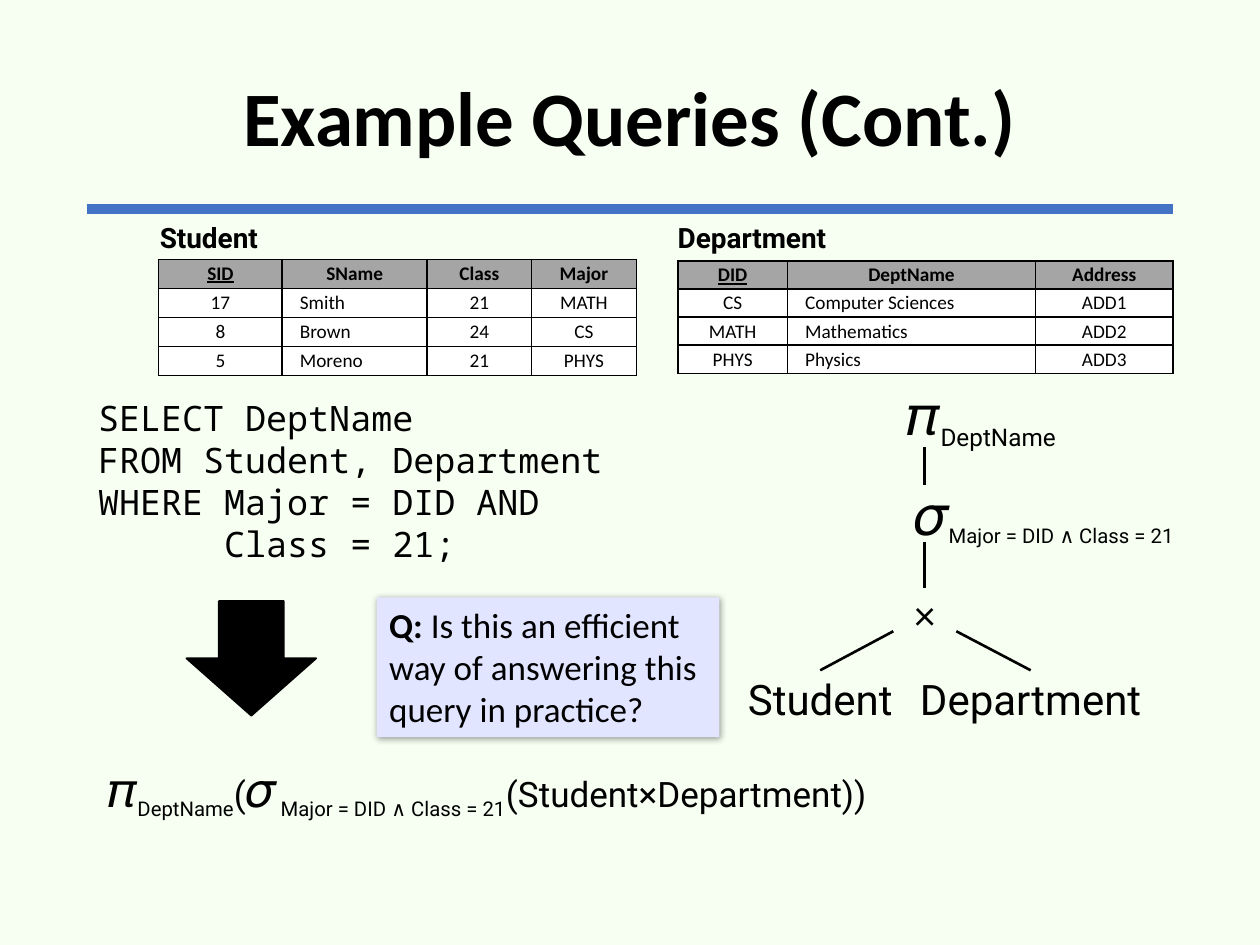
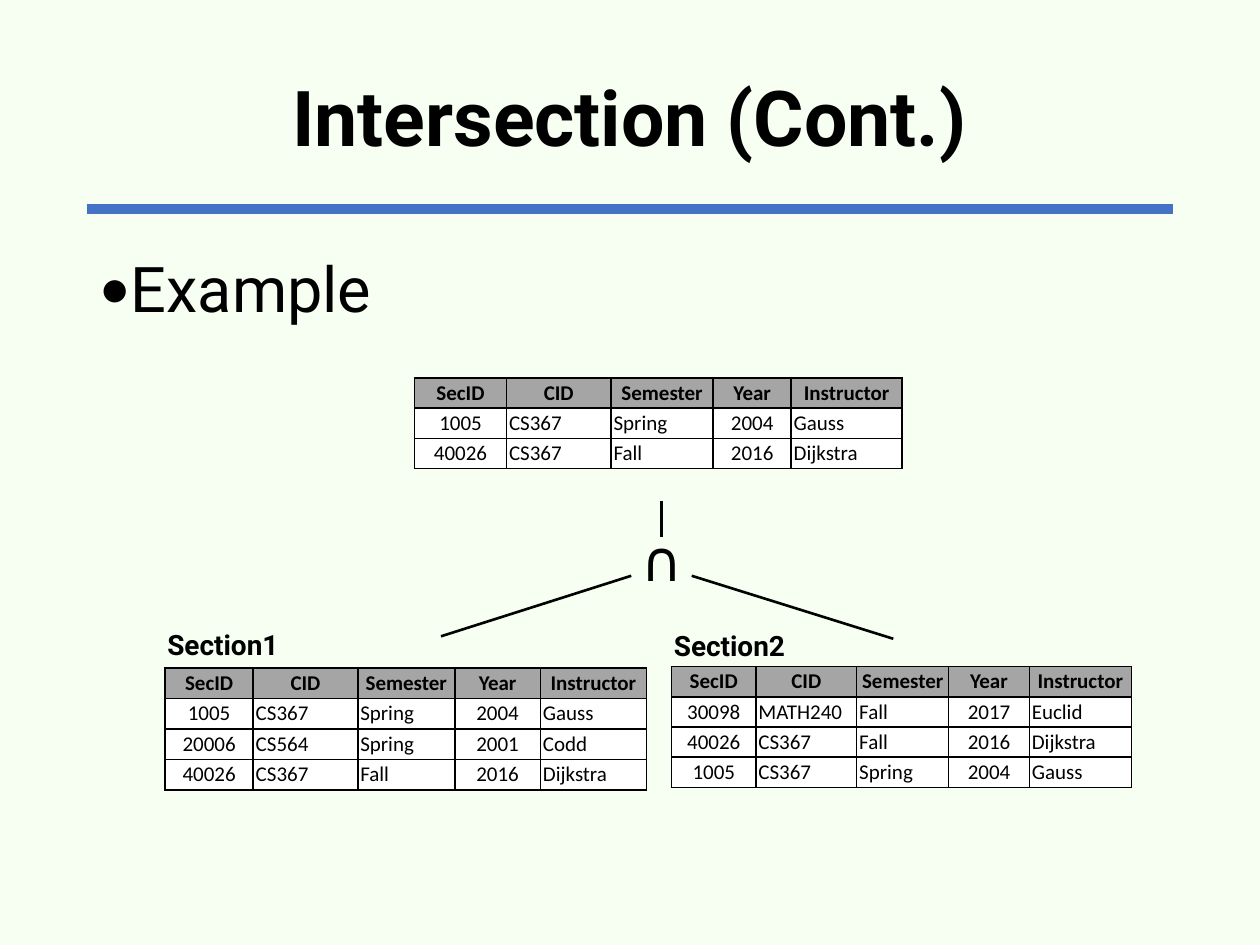
import pptx
import pptx.util
import pptx.dml.color
import pptx.enum.shapes
import pptx.enum.text
import pptx.oxml
import pptx.oxml.ns
from dataclasses import dataclass
from lxml import etree

Inches, Pt = pptx.util.Inches, pptx.util.Pt
ALIGN = pptx.enum.text.PP_ALIGN
ANCHOR = pptx.enum.text.MSO_ANCHOR
qn = pptx.oxml.ns.qn


@dataclass(frozen=True)
class Theme:
    back: str = "F7FFF3"
    ink: str = "000000"
    rule: str = "4472C4"
    head: str = "A5A5A5"
    cell: str = "FFFFFF"
    note: str = "E2E5FF"
    sans: str = "Roboto"
    plain: str = "Calibri"
    mono: str = "Noto Sans Mono"
    title: int = 44
    body: int = 36
    sign: int = 32
    lead: int = 28
    node: int = 24
    text: int = 20
    label: int = 16


T = Theme()

# Table: label, label place, table place, height, font size, column widths,
# column alignment, left indent, underlined header, rows
SCHOOL = [
    dict(name="Student", tag=(1.17, 1.7), at=(1.26, 2.06), high=0.92, size=11,
         cols=(0.98, 1.15, 0.83, 0.83), align="clcc", indent=0.12, key="SID",
         rows=[("SID", "SName", "Class", "Major"),
               ("17", "Smith", "21", "MATH"),
               ("8", "Brown", "24", "CS"),
               ("5", "Moreno", "21", "PHYS")]),
    dict(name="Department", tag=(5.28, 1.7), at=(5.38, 2.07), high=0.89, size=11,
         cols=(0.87, 1.97, 1.09), align="clc", indent=0.12, key="DID",
         rows=[("DID", "DeptName", "Address"),
               ("CS", "Computer Sciences", "ADD1"),
               ("MATH", "Mathematics", "ADD2"),
               ("PHYS", "Physics", "ADD3")]),
]
FIELDS = ("SecID", "CID", "Semester", "Year", "Instructor")
GAUSS = ("1005", "CS367", "Spring", "2004", "Gauss")
FALL = ("40026", "CS367", "Fall", "2016", "Dijkstra")
COURSE = dict(size=12, align="cllcl", indent=0, key=None)
SECTIONS = [
    dict(COURSE, name="Section1", tag=(1.23, 4.93), at=(1.31, 5.3), high=0.97,
         cols=(0.7, 0.83, 0.77, 0.68, 0.84),
         rows=[FIELDS, GAUSS, ("20006", "CS564", "Spring", "2001", "Codd"), FALL]),
    dict(COURSE, name="Section2", tag=(5.25, 4.94), at=(5.33, 5.29), high=0.96,
         cols=(0.67, 0.8, 0.73, 0.64, 0.81),
         rows=[FIELDS, ("30098", "MATH240", "Fall", "2017", "Euclid"), FALL, GAUSS]),
    dict(COURSE, name=None, at=(3.29, 3), high=0.72,
         cols=(0.73, 0.83, 0.81, 0.62, 0.88), rows=[FIELDS, GAUSS, FALL]),
]
QUERY = ["SELECT DeptName", "FROM Student, Department",
         "WHERE Major = DID AND", "      Class = 21;"]
# Runs: text, size, style (b bold, s subscript)
ASK = [("Q: ", T.text, "b"),
       ("Is this an efficient way of answering this query in practice?", T.text, "")]
PROJECT = [("𝜋", T.sign, ""), ("DeptName", T.node, "s")]
SELECT = [("𝜎", T.sign, ""), ("Major = DID ∧ Class = 21", T.text, "s")]
FORMULA = [("𝜋", T.lead, ""), ("DeptName", T.text, "s"), ("(", T.text, ""),
           ("𝜎", T.lead, ""), (" Major = DID ∧ Class = 21", T.text, "s"),
           ("(Student×Department))", T.text, "")]


def rgb(code):
    return pptx.dml.color.RGBColor.from_string(code)


def style(font, face, size, bold=False):
    font.name, font.size, font.bold = face, Pt(size), bold
    font.color.rgb = rgb(T.ink)


def text(slide, at, lines, size, face=T.sans, bold=False, align=ALIGN.LEFT,
         mid=False, wrap=False, pad=0.1):
    """Add a text box; a line is a string or a list of runs."""
    box = slide.shapes.add_textbox(*map(Inches, at))
    frame = box.text_frame
    frame.word_wrap = wrap
    frame.margin_left = frame.margin_right = Inches(pad)
    if mid:
        frame.vertical_anchor = ANCHOR.MIDDLE
    for i, line in enumerate(lines):
        para = frame.add_paragraph() if i else frame.paragraphs[0]
        para.alignment = align
        if isinstance(line, str):
            para.text = line
            style(para.runs[0].font, face, size, bold)
            continue
        for word, pts, mark in line:
            run = para.add_run()
            run.text = word
            style(run.font, face, pts, mark == "b")
            if mark == "s":
                run.font._element.set("baseline", "-25000")
    return box


def node(slide, at, word, size, face=T.sans):
    return text(slide, at, [word], size, face, align=ALIGN.CENTER, mid=True, pad=0)


def line(slide, start, end, color=T.ink, width=1.5, top=None):
    """Draw a line; it may end at the top of a box."""
    kind = pptx.enum.shapes.MSO_CONNECTOR.STRAIGHT
    link = slide.shapes.add_connector(kind, *map(Inches, start + end))
    link.line.color.rgb, link.line.width = rgb(color), Pt(width)
    etree.SubElement(link._element.spPr, qn("a:effectLst"))
    if top is not None:
        link.end_connect(top, 0)


def edge(cell):
    props = cell._tc.get_or_add_tcPr()
    for side in ("lnL", "lnR", "lnT", "lnB"):
        ln = etree.SubElement(props, qn("a:" + side), w=str(Pt(1)))
        fill = etree.SubElement(ln, qn("a:solidFill"))
        etree.SubElement(fill, qn("a:srgbClr"), val=T.ink)


def grid(slide, data):
    """Add a table and its label."""
    rows, cols = data["rows"], data["cols"]
    place = data["at"] + (sum(cols), data["high"])
    table = slide.shapes.add_table(len(rows), len(cols), *map(Inches, place)).table
    for col, wide in zip(table.columns, cols):
        col.width = Inches(wide)
    for r, row in enumerate(rows):
        table.rows[r].height = Inches(data["high"] / len(rows))
        for c, word in enumerate(row):
            cell = table.cell(r, c)
            left = r > 0 and data["align"][c] == "l"
            cell.margin_right = cell.margin_top = cell.margin_bottom = Inches(0.02)
            cell.margin_left = Inches(0.02 + (data["indent"] if left else 0))
            edge(cell)
            cell.fill.solid()
            cell.fill.fore_color.rgb = rgb(T.cell if r else T.head)
            cell.text_frame.text = word
            para = cell.text_frame.paragraphs[0]
            para.alignment = ALIGN.LEFT if left else ALIGN.CENTER
            font = para.runs[0].font
            style(font, T.plain, data["size"], r == 0)
            font.underline = word == data["key"]
    if data["name"]:
        text(slide, data["tag"] + (1.43, 0.37), [data["name"]], T.label, bold=True)


def start(deck, title, face):
    """Add a slide with background, rule and title."""
    slide = deck.slides.add_slide(deck.slide_layouts[6])
    slide.background.fill.solid()
    slide.background.fill.fore_color.rgb = rgb(T.back)
    line(slide, (0.69, 1.66), (9.31, 1.66), T.rule, 6)
    box = text(slide, (0.69, 0.24, 8.62, 1.45), [title], T.title, face, True,
               ALIGN.CENTER, mid=True, wrap=True)
    box.text_frame.paragraphs[0].line_spacing = 0.9
    return slide


def shade(box):
    effect = etree.SubElement(box._element.spPr, qn("a:effectLst"))
    drop = etree.SubElement(effect, qn("a:outerShdw"), blurRad=str(Pt(4)),
                            dist=str(Pt(1)), dir="2700000", algn="tl", rotWithShape="0")
    tint = etree.SubElement(drop, qn("a:srgbClr"), val=T.ink)
    etree.SubElement(tint, qn("a:alpha"), val="40000")


def queries(deck):
    slide = start(deck, "Example Queries (Cont.)", T.plain)
    for data in SCHOOL:
        grid(slide, data)
    text(slide, (0.68, 3.1, 4.36, 1.81), QUERY, T.text, T.mono, wrap=True)

    arrow = slide.shapes.add_shape(pptx.enum.shapes.MSO_SHAPE.DOWN_ARROW,
                                   *map(Inches, (1.48, 4.77, 1.03, 0.91)))
    arrow.shadow.inherit = False
    arrow.fill.solid()
    arrow.fill.fore_color.rgb = arrow.line.color.rgb = rgb(T.ink)
    arrow.line.width = Pt(1)

    note = text(slide, (2.99, 4.74, 2.72, 1.11), [ASK], T.text, T.plain, wrap=True)
    note.fill.solid()
    note.fill.fore_color.rgb = rgb(T.note)
    shade(note)

    axis = 7.34
    text(slide, (7.2, 3.04, 1.5, 0.51), [PROJECT], T.sign, mid=True, pad=0)
    text(slide, (7.26, 3.85, 2.2, 0.45), [SELECT], T.sign, mid=True, pad=0)
    times = node(slide, (6.99, 4.67, 0.7, 0.4), "×", T.node, T.plain)
    left = node(slide, (5.86, 5.32, 1.3, 0.45), "Student", T.node)
    right = node(slide, (7.18, 5.32, 2, 0.45), "Department", T.node)
    line(slide, (axis, 3.55), (axis, 3.85))
    line(slide, (axis, 4.3), (axis, 4.67), top=times)
    line(slide, (7.09, 5.01), (6.51, 5.32), top=left)
    line(slide, (7.59, 5.01), (8.18, 5.32), top=right)
    text(slide, (0.68, 5.97, 6.38, 0.57), [FORMULA], T.text, align=ALIGN.CENTER)


def meet(deck):
    slide = start(deck, "Intersection (Cont.)", T.sans)
    body = text(slide, (0.69, 2, 8.62, 0.8), ["Example"], T.body, wrap=True)
    para = body.text_frame.paragraphs[0]
    para.line_spacing = 0.9
    props = para._p.get_or_add_pPr()
    props.set("marL", str(Inches(0.25)))
    props.set("indent", str(Inches(-0.25)))
    etree.SubElement(props, qn("a:buFont"), typeface=T.plain)
    etree.SubElement(props, qn("a:buChar"), char="•")

    for data in SECTIONS:
        grid(slide, data)
    cap = node(slide, (4.91, 4.26, 0.68, 0.36), "∩", T.sign)
    line(slide, (5.25, 3.98), (5.25, 4.26), top=cap)
    line(slide, (5.01, 4.57), (3.5, 5.05))
    line(slide, (5.49, 4.57), (7.09, 5.07))


def main():
    deck = pptx.Presentation()
    deck.slide_width, deck.slide_height = Inches(10), Inches(7.5)
    queries(deck)
    meet(deck)
    deck.save("out.pptx")


if __name__ == "__main__":
    main()
